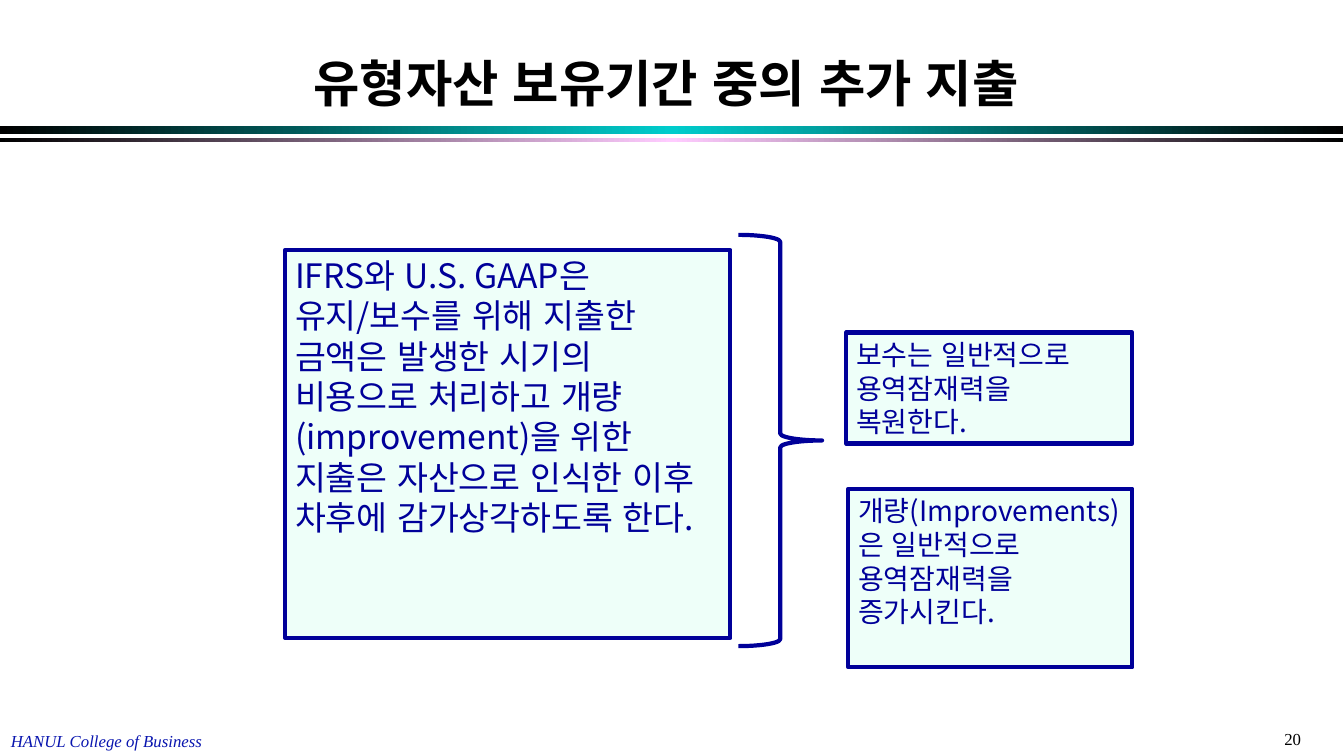
import pptx
import pptx.util
import pptx.dml.color
import pptx.enum.text
import pptx.enum.shapes
import pptx.enum.lang
import pptx.oxml.ns
import lxml.etree

Inches = pptx.util.Inches
Pt = pptx.util.Pt
RGB = pptx.dml.color.RGBColor.from_string
qn = pptx.oxml.ns.qn
Align = pptx.enum.text.PP_ALIGN
Anchor = pptx.enum.text.MSO_ANCHOR
Kind = pptx.enum.shapes.MSO_SHAPE

THEME = {
    "sans": "Noto Sans CJK KR", "serif": "Times New Roman",
    "ink": "000000", "navy": "000099", "mint": "EEFFF9", "blue": "0915AF",
    "teal": "00CCCC", "pink": "FFCCFF",
    "head": 36, "main": 24, "note": 20, "foot": 12, "line": 3,
}

TITLE = ("유형자산 보유기간 중의 추가 지출", (0.89, 0.25, 11.44, 0.92))
BARS = [((0, 1.25, 13.33, 0.08), "teal"), ((0, 1.37, 13.33, 0.04), "pink")]
BOXES = [
    ("보수는 일반적으로 용역잠재력을 복원한다.", (8.4, 3.3, 2.84, 1.1), "note", 0, 0.15),
    ("개량(Improvements)은 일반적으로 용역잠재력을 증가시킨다.",
     (8.42, 4.85, 2.82, 1.77), "note", 0, 0.1),
    ("IFRS와 U.S. GAAP은 유지/보수를 위해 지출한 금액은 발생한 시기의 비용으로 처리하고 "
     "개량(improvement)을 위한 지출은 자산으로 인식한 이후 차후에 감가상각하도록 한다.",
     (2.83, 2.48, 4.42, 3.85), "main", 6, 0.1),
]
BRACE = (7.33, 2.33, 0.83, 4.08)
FEET = [
    ("20", (12.65, 7.18, 0.78, 0.3), "ink", False, 7.5),
    ("HANUL College of Business", (0.01, 7.2, 2.6, 0.3), "blue", True, 0),
]


def put(obj, form):
    for key, val in form.items():
        setattr(obj, key, val)


def write(shape, text, face, size, tone, align=Align.LEFT, gap=0,
          anchor=Anchor.TOP, right=0.1, **style):
    frame = shape.text_frame
    put(frame, {
        "word_wrap": True, "vertical_anchor": anchor,
        "margin_left": Inches(0.1), "margin_right": Inches(right),
        "margin_top": Inches(0.05), "margin_bottom": Inches(0.05),
    })
    para = frame.paragraphs[0]
    put(para, {"alignment": align, "space_before": Pt(gap)})
    run = para.add_run()
    run.text = text
    run.font.color.rgb = RGB(THEME[tone])
    put(run.font, {
        "name": THEME[face], "size": Pt(THEME[size]),
        "language_id": pptx.enum.lang.MSO_LANGUAGE_ID.KOREAN, **style,
    })
    east = lxml.etree.Element(qn("a:ea"), typeface=THEME[face])
    run.font._element.find(qn("a:latin")).addnext(east)


def draw(slide, kind, area):
    shape = slide.shapes.add_shape(kind, *map(Inches, area))
    shape.shadow.inherit = False
    return shape


def edge(shape):
    shape.line.color.rgb = RGB(THEME["navy"])
    shape.line.width = Pt(THEME["line"])


def blend(shape, tones):
    shape.line.fill.background()
    shape.fill.gradient()
    shape.fill.gradient_angle = 0
    stops = shape._element.spPr.find(".//" + qn("a:gsLst"))
    for stop in list(stops):
        stops.remove(stop)
    for i, tone in enumerate(tones):
        pos = str(100000 * i // (len(tones) - 1))
        stop = lxml.etree.SubElement(stops, qn("a:gs"), pos=pos)
        lxml.etree.SubElement(stop, qn("a:srgbClr"), val=THEME[tone])


def main():
    deck = pptx.Presentation()
    put(deck, {"slide_width": Inches(13.34), "slide_height": Inches(7.5)})
    slide = deck.slides.add_slide(deck.slide_layouts[5])

    for area, tone in BARS:
        blend(draw(slide, Kind.RECTANGLE, area), ["ink", tone, "ink"])

    for text, area, tone, slant, gap in FEET:
        foot = slide.shapes.add_textbox(*map(Inches, area))
        write(foot, text, "serif", "foot", tone, gap=gap, italic=slant)

    text, area = TITLE
    title = slide.shapes.title
    put(title, dict(zip(("left", "top", "width", "height"), map(Inches, area))))
    write(title, text, "sans", "head", "ink", Align.CENTER, anchor=Anchor.BOTTOM, bold=True)

    for text, area, size, gap, right in BOXES:
        box = draw(slide, Kind.RECTANGLE, area)
        box.fill.solid()
        box.fill.fore_color.rgb = RGB(THEME["mint"])
        edge(box)
        write(box, text, "sans", size, "navy", gap=gap, right=right)

    brace = draw(slide, Kind.RIGHT_BRACE, BRACE)
    brace.fill.background()
    edge(brace)

    deck.save("out.pptx")


if __name__ == "__main__":
    main()
